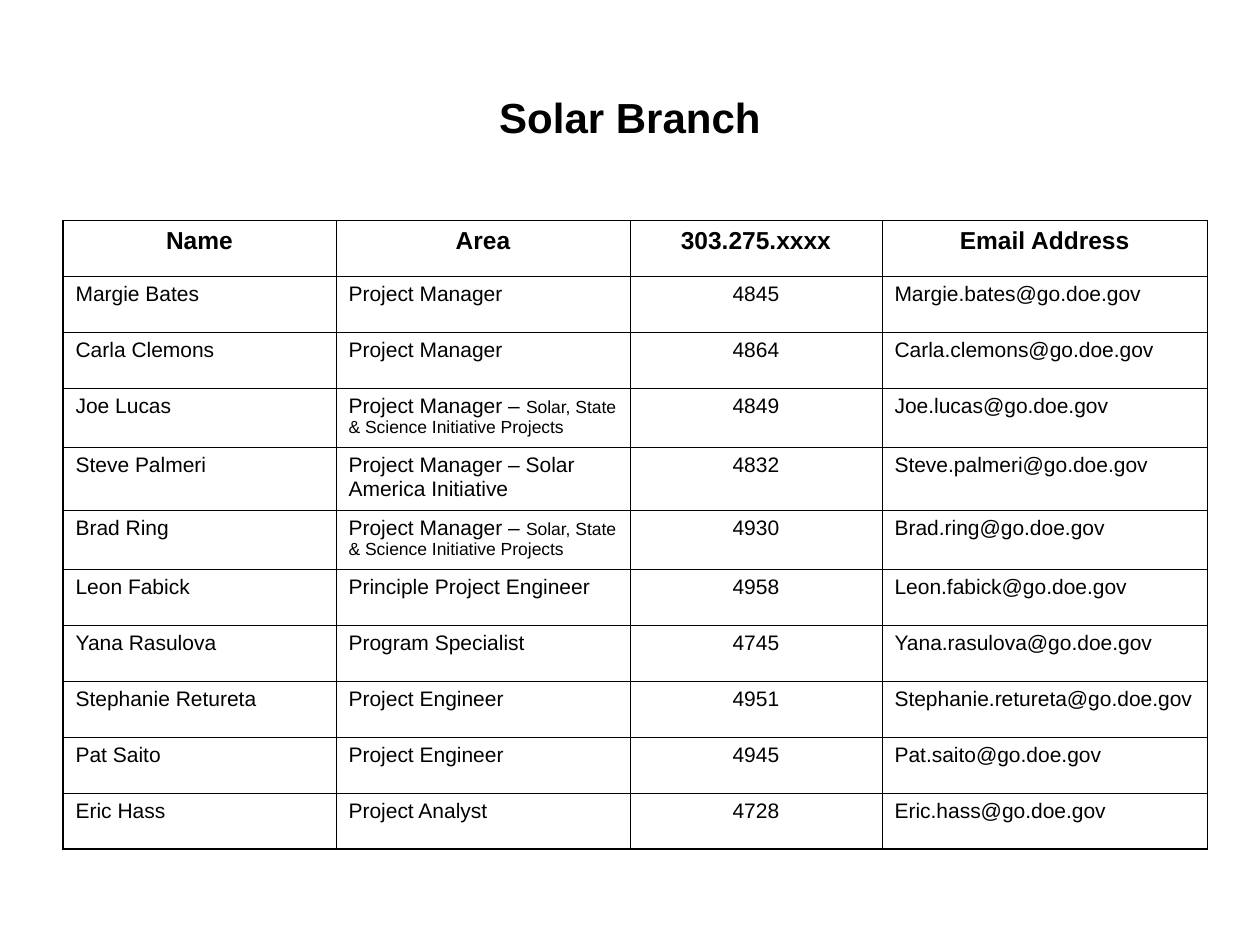
from dataclasses import dataclass

from lxml.etree import SubElement
from pptx import Presentation
from pptx.dml.color import RGBColor
from pptx.enum.text import MSO_ANCHOR as Anchor, PP_ALIGN as Align
from pptx.oxml.ns import qn
from pptx.util import Emu, Inches, Pt

BLACK = RGBColor(0x00, 0x00, 0x00)
WHITE = RGBColor(0xFF, 0xFF, 0xFF)
FONT = "Arial"
SLIDE_WIDTH, SLIDE_HEIGHT = Inches(10), Inches(7.5)
GRID_COLUMNS, GRID_ROWS = 120, 540

OUTER_LINE, INNER_LINE = Pt(1.08), Pt(0.45)
COLUMN_SPANS = (26, 28, 24, 31)
PLAIN_ROW = 32
TALL_ROWS = {3: 33.5, 4: 36, 5: 33.5}
PADDING = {
    "margin_left": Inches(0.1),
    "margin_right": Inches(0.1),
    "margin_top": Inches(0.05),
    "margin_bottom": Inches(0.05),
}
TITLE_FORMAT = {**PADDING, "word_wrap": True, "vertical_anchor": Anchor.MIDDLE}
CELL_FORMAT = {**PADDING, "vertical_anchor": Anchor.TOP}

HEADINGS = ("Name", "Area", "303.275.xxxx", "Email Address")
HEADING_ALIGNS = (Align.CENTER,) * 4
STAFF_ALIGNS = (Align.LEFT, Align.LEFT, Align.CENTER, Align.LEFT)


@dataclass(frozen=True)
class Member:
    """One person in the branch directory."""

    name: str
    area: str
    extension: str
    detail: str = ""

    @property
    def email(self) -> str:
        """Return the address made from the member's name."""
        return self.name.replace(" ", ".").capitalize() + "@go.doe.gov"


INITIATIVES = "Solar, State & Science Initiative Projects"
STAFF = (
    Member("Margie Bates", "Project Manager", "4845"),
    Member("Carla Clemons", "Project Manager", "4864"),
    Member("Joe Lucas", "Project Manager – ", "4849", INITIATIVES),
    Member("Steve Palmeri", "Project Manager – Solar America Initiative", "4832"),
    Member("Brad Ring", "Project Manager – ", "4930", INITIATIVES),
    Member("Leon Fabick", "Principle Project Engineer", "4958"),
    Member("Yana Rasulova", "Program Specialist", "4745"),
    Member("Stephanie Retureta", "Project Engineer", "4951"),
    Member("Pat Saito", "Project Engineer", "4945"),
    Member("Eric Hass", "Project Analyst", "4728"),
)


def across(columns: float) -> Emu:
    """Convert grid columns to a length."""
    return Emu(round(SLIDE_WIDTH * columns / GRID_COLUMNS))


def down(rows: float) -> Emu:
    """Convert grid rows to a length."""
    return Emu(round(SLIDE_HEIGHT * rows / GRID_ROWS))


def apply_format(target, values: dict) -> None:
    """Set each named attribute on the target."""
    for attribute, value in values.items():
        setattr(target, attribute, value)


def add_words(paragraph, words: str, size: float, bold: bool = False) -> None:
    """Append a run of black text."""
    run = paragraph.add_run()
    run.text = words
    apply_format(run.font, {"name": FONT, "size": Pt(size), "bold": bold})
    run.font.color.rgb = BLACK


def add_border(cell, side: str, width: int) -> None:
    """Draw one side of a cell."""
    properties = cell._tc.get_or_add_tcPr()
    line = SubElement(properties, qn(f"a:ln{side}"), w=str(int(width)))
    fill = SubElement(line, qn("a:solidFill"))
    SubElement(fill, qn("a:srgbClr"), val=str(BLACK))


def draw_title(slide, title: str) -> None:
    """Place the centred slide title."""
    box = slide.shapes.add_textbox(across(6), down(21.6), across(108), down(90))
    apply_format(box.text_frame, TITLE_FORMAT)
    paragraph = box.text_frame.paragraphs[0]
    paragraph.alignment = Align.CENTER
    add_words(paragraph, title, 24, bold=True)


def draw_directory(slide, staff: tuple[Member, ...]) -> None:
    """Build the staff table with a heavier outer frame."""
    heights = [TALL_ROWS.get(row, PLAIN_ROW) for row in range(len(staff) + 1)]
    table = slide.shapes.add_table(
        len(heights), len(COLUMN_SPANS), across(6), down(126),
        across(sum(COLUMN_SPANS)), down(sum(heights)),
    ).table
    apply_format(table, {"first_row": False, "horz_banding": False})
    for column, span in zip(table.columns, COLUMN_SPANS):
        column.width = across(span)
    for row, height in zip(table.rows, heights):
        row.height = down(height)

    entries = [HEADINGS] + [(m.name, m.area, m.extension, m.email) for m in staff]
    last_row, last_column = len(heights) - 1, len(COLUMN_SPANS) - 1
    for row, texts in enumerate(entries):
        heading = row == 0
        aligns = HEADING_ALIGNS if heading else STAFF_ALIGNS
        for column, words in enumerate(texts):
            cell = table.cell(row, column)
            apply_format(cell, CELL_FORMAT)
            paragraph = cell.text_frame.paragraphs[0]
            paragraph.alignment = aligns[column]
            add_words(paragraph, words, 14 if heading else 12, heading)
            if column == 1 and not heading and staff[row - 1].detail:
                add_words(paragraph, staff[row - 1].detail, 10)
            on_frame = {
                "L": column == 0,
                "R": column == last_column,
                "T": heading,
                "B": row == last_row,
            }
            for side, outer in on_frame.items():
                add_border(cell, side, OUTER_LINE if outer else INNER_LINE)
            cell.fill.background()


def main() -> None:
    """Create the branch directory slide."""
    deck = Presentation()
    apply_format(deck, {"slide_width": SLIDE_WIDTH, "slide_height": SLIDE_HEIGHT})
    slide = deck.slides.add_slide(deck.slide_layouts[6])
    slide.background.fill.solid()
    slide.background.fill.fore_color.rgb = WHITE
    draw_title(slide, "Solar Branch")
    draw_directory(slide, STAFF)
    deck.save("out.pptx")


if __name__ == "__main__":
    main()
